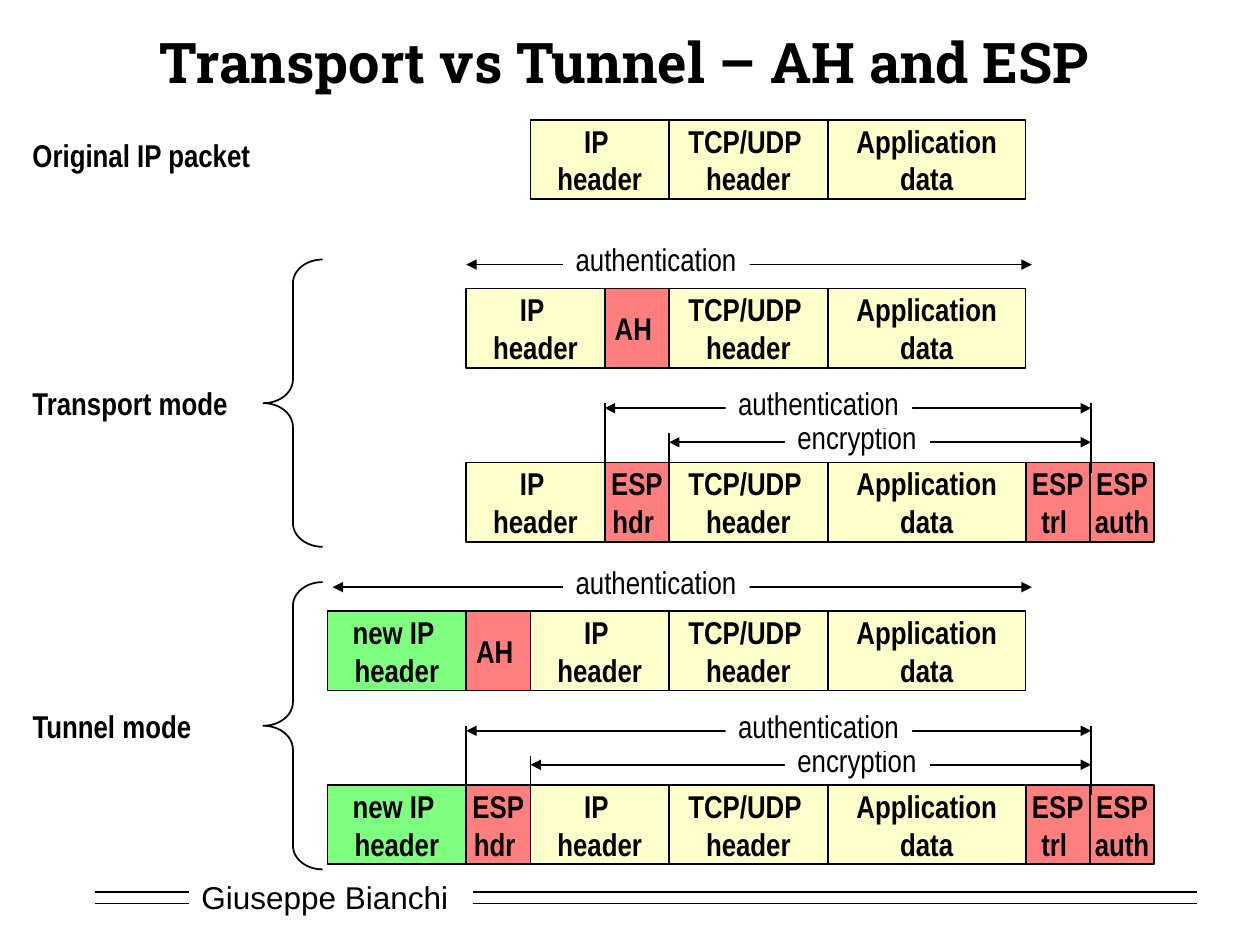
from dataclasses import dataclass

from lxml import etree
from pptx import Presentation
from pptx import util as u
from pptx.dml.color import RGBColor
from pptx.enum import shapes, text
from pptx.oxml.ns import qn

NARROW = "Arial Narrow"
BLACK, WHITE = "000000", "FFFFFF"
YELLOW, RED, GREEN = "FFFF99", "FF0000", "00FF00"


@dataclass
class Cell:
    label: str
    width: float
    fill: str


@dataclass
class Mode:
    name: str
    top: float
    left: float
    start: float
    lead: list[Cell]
    inner: list[Cell]


IP = Cell("IP \vheader", 1.1, YELLOW)
NEW = Cell("new IP \vheader", 1.1, GREEN)
TCP = Cell("TCP/UDP \vheader", 1.26, YELLOW)
DATA = Cell("Application\vdata", 1.57, YELLOW)
AH = Cell("AH ", 0.51, RED)
HDR = Cell("ESP\vhdr ", 0.51, RED)
TRL = Cell("ESP\vtrl ", 0.51, RED)
AUTH = Cell("ESP\vauth", 0.51, RED)
LOAD = [TCP, DATA]
MODES = [
    Mode("Transport mode", 2.06, 3.7, 3.7, [IP], LOAD),
    Mode("Tunnel mode", 4.62, 2.6, 2.64, [NEW], [IP] + LOAD),
]
END = 8.66


def paint(color, value: str) -> None:
    color.rgb = RGBColor.from_string(value)


def style(par, font: str = NARROW, size: int = 18, bold: bool = False) -> None:
    par.font.name = font
    par.font.size = u.Pt(size)
    par.font.bold = bold
    paint(par.font.color, BLACK)


def fill(shape, color: str) -> None:
    shape.fill.solid()
    paint(shape.fill.fore_color, color)


def edge(shape) -> None:
    paint(shape.line.color, BLACK)
    shape.line.width = u.Pt(1)


def label(slide, words: str, x: float, y: float, w: float, bold: bool = False,
          back: str | None = None, font: str = NARROW):
    box = slide.shapes.add_textbox(u.Inches(x), u.Inches(y), u.Inches(w), u.Inches(0.4))
    if back:
        fill(box, back)
    frame = box.text_frame
    frame.text = words
    frame.word_wrap = False
    frame.auto_size = text.MSO_AUTO_SIZE.SHAPE_TO_FIT_TEXT
    style(frame.paragraphs[0], font, bold=bold)
    return box


def line(slide, x1: float, y1: float, x2: float, y2: float, arrows: bool = False) -> None:
    link = slide.shapes.add_connector(
        shapes.MSO_CONNECTOR.STRAIGHT,
        u.Inches(x1), u.Inches(y1), u.Inches(x2), u.Inches(y2))
    edge(link)
    props = link._element.spPr
    if arrows:
        for tag in ("a:headEnd", "a:tailEnd"):
            etree.SubElement(props.find(qn("a:ln")), qn(tag), type="triangle")
    etree.SubElement(props, qn("a:effectLst"))


def cell(slide, part: Cell, x: float, y: float) -> None:
    box = slide.shapes.add_shape(
        shapes.MSO_SHAPE.RECTANGLE,
        u.Inches(x), u.Inches(y), u.Inches(part.width), u.Inches(0.63))
    box.shadow.inherit = False
    fill(box, part.fill)
    tint = box._element.spPr.find(qn("a:solidFill"))[0]
    etree.SubElement(tint, qn("a:alpha"), val="50000")
    edge(box)
    frame = box.text_frame
    frame.text = part.label
    frame.word_wrap = False
    frame.vertical_anchor = text.MSO_ANCHOR.MIDDLE
    par = frame.paragraphs[0]
    par.alignment = text.PP_ALIGN.CENTER
    style(par, bold=True)


def row(slide, parts: list[Cell], x: float, y: float) -> None:
    for part in parts:
        cell(slide, part, x, y)
        x += part.width


def span(slide, words: str, x1: float, x2: float, y: float, at: float, w: float) -> None:
    line(slide, x1, y, x2, y, arrows=True)
    label(slide, words, at, y - 0.24, w, back=WHITE)


def brace(slide, y: float) -> None:
    mark = slide.shapes.add_shape(
        shapes.MSO_SHAPE.LEFT_BRACE,
        u.Inches(2.09), u.Inches(y), u.Inches(0.47), u.Inches(2.28))
    mark.shadow.inherit = False
    mark.adjustments[0] = 0.4
    mark.adjustments[1] = 0.5
    mark.fill.background()
    edge(mark)


def draw(slide, mode: Mode) -> None:
    y = mode.top
    low = y + 1.61
    outer = mode.left + mode.lead[0].width
    inner = outer + HDR.width
    span(slide, "encryption", inner, END, y + 1.45, 6.23, 1.15)
    span(slide, "authentication", outer, END, y + 1.18, 5.76, 1.48)
    span(slide, "authentication", mode.start, 8.19, y + 0.04, 4.47, 1.48)
    row(slide, mode.lead + [AH] + mode.inner, mode.left, y + 0.23)
    row(slide, mode.lead + [HDR] + mode.inner + [TRL, AUTH], mode.left, low)
    for x in (outer, END):
        line(slide, x, low + 0.08, x, low - 0.47)
    line(slide, inner, low + 0.12, inner, low - 0.23)
    label(slide, mode.name, 0.16, y + 0.94, 1.76 if mode.lead == [IP] else 1.48, bold=True)
    brace(slide, y)


def main() -> None:
    deck = Presentation()
    deck.slide_width, deck.slide_height = u.Inches(10), u.Inches(7.5)
    slide = deck.slides.add_slide(deck.slide_layouts[5])

    title = slide.shapes.title
    title.left, title.top = u.Inches(0.75), u.Inches(0.13)
    title.width, title.height = u.Inches(8.42), u.Inches(0.71)
    title.text_frame.text = "Transport vs Tunnel – AH and ESP"
    title.text_frame.vertical_anchor = text.MSO_ANCHOR.MIDDLE
    head = title.text_frame.paragraphs[0]
    head.alignment = text.PP_ALIGN.CENTER
    style(head, "Roboto Slab", 32, True)

    label(slide, "Giuseppe Bianchi", 1.5, 6.92, 2.17, back=WHITE, font="Arial")
    for y in (7.08, 7.17):
        line(slide, 0.75, y, 1.5, y)
        line(slide, 3.75, y, 9.5, y)

    label(slide, "Original IP packet", 0.16, 1.03, 1.94, bold=True)
    row(slide, [IP] + LOAD, 4.21, 0.95)
    for mode in MODES:
        draw(slide, mode)
    deck.save("out.pptx")


if __name__ == "__main__":
    main()
